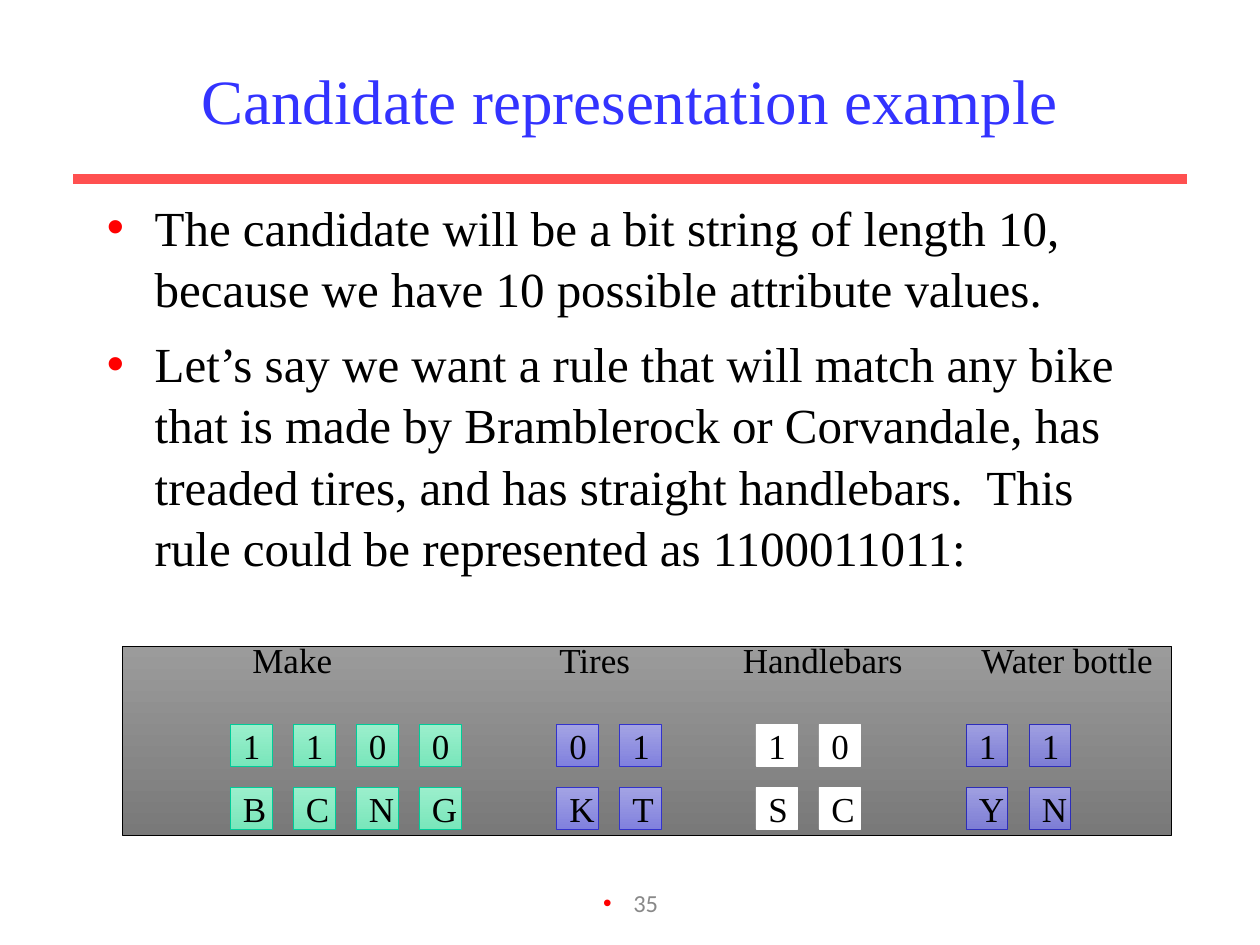
from lxml import etree
from pptx import Presentation
from pptx.dml.color import RGBColor
from pptx.enum import shapes, text
from pptx.oxml import ns
from pptx.util import Inches, Pt

COLORS = {
    "title": "3333FF", "rule": "FF5050", "bullet": "FF0000",
    "text": "000000", "number": "898989",
}
FILLS = {
    "panel": ("9B9B9B", "797979", "000000"),
    "green": ("9BEFCC", "79E6BB", "00CC99"),
    "blue": ("A3A3E4", "8181DE", "3333CC"),
    "white": ("FFFFFF", "FFFFFF", "FFFFFF"),
    "navy": ("9F9FE1", "7E7ED5", "2D2DB9"),
}
GROUPS = [
    ("Make", 2.32, 1.83, "1100", "BCNG", "green"),
    ("Tires", 4.72, 4.42, "01", "KT", "blue"),
    ("Handlebars", 6.53, 6, "10", "SC", "white"),
    ("Water bottle", 8.47, 7.67, "11", "YN", "navy"),
]
POINTS = [
    "The candidate will be a bit string of length 10, because we have 10 "
    "possible attribute values.",
    "Let’s say we want a rule that will match any bike that is made by "
    "Bramblerock or Corvandale, has treaded tires, and has straight "
    "handlebars.  This rule could be represented as 1100011011:",
]
ROMAN = "Times New Roman"
CENTER = text.PP_ALIGN.CENTER


def rgb(name):
    """Return the named colour."""
    return RGBColor.from_string(COLORS[name])


def style(para, size, color="text", face=ROMAN, align=CENTER):
    """Format a paragraph."""
    para.alignment = align
    para.font.size = Pt(size)
    para.font.name = face
    para.font.color.rgb = rgb(color)


def bullet(para, indent):
    """Give a paragraph a red hanging bullet."""
    props = para._p.get_or_add_pPr()
    props.set("marL", str(Inches(indent)))
    props.set("indent", str(-Inches(indent)))
    tint = etree.Element(ns.qn("a:buClr"))
    etree.SubElement(tint, ns.qn("a:srgbClr"), val=COLORS["bullet"])
    face = etree.Element(ns.qn("a:buFont"), typeface="Arial")
    char = etree.Element(ns.qn("a:buChar"), char="•")
    anchor = props.find(ns.qn("a:defRPr"))
    for item in (tint, face, char):
        anchor.addprevious(item)


def label(slide, words, left, top, width, height):
    """Add a wrapping text box and return its frame."""
    frame = slide.shapes.add_textbox(
        Inches(left), Inches(top), Inches(width), Inches(height)).text_frame
    frame.word_wrap = True
    frame.text = words
    return frame


def box(slide, left, top, width, height, kind, words=""):
    """Add a shaded rectangle with optional text."""
    shape = slide.shapes.add_shape(
        shapes.MSO_SHAPE.RECTANGLE,
        Inches(left), Inches(top), Inches(width), Inches(height))
    first, last, edge = map(RGBColor.from_string, FILLS[kind])
    shape.shadow.inherit = False
    if first == last:
        shape.fill.solid()
        shape.fill.fore_color.rgb = first
    else:
        shape.fill.gradient()
        shape.fill.gradient_angle = 270
        for stop, color in zip(shape.fill.gradient_stops, (first, last)):
            stop.color.rgb = color
    shape.line.color.rgb = edge
    shape.line.width = Pt(0.5)
    if words:
        frame = shape.text_frame
        frame.text = words
        frame.word_wrap = True
        frame.vertical_anchor = text.MSO_ANCHOR.MIDDLE
        style(frame.paragraphs[0], 20)


def heading(slide, words):
    """Set the title and the rule below it."""
    title = slide.shapes.title
    title.left, title.top = Inches(0.75), Inches(0.25)
    title.width, title.height = Inches(8.5), Inches(1.08)
    title.text_frame.text = words
    title.text_frame.vertical_anchor = text.MSO_ANCHOR.MIDDLE
    style(title.text_frame.paragraphs[0], 36, "title")
    rule = slide.shapes.add_connector(
        shapes.MSO_CONNECTOR.STRAIGHT,
        Inches(0.58), Inches(1.42), Inches(9.42), Inches(1.42))
    rule.line.color.rgb = rgb("rule")
    rule.line.width = Pt(6)
    etree.SubElement(rule._element.spPr, ns.qn("a:effectLst"))


def body(slide):
    """Add the bulleted points."""
    frame = label(slide, "\n".join(POINTS), 0.75, 1.5, 8.5, 3.5)
    for para, space in zip(frame.paragraphs, (7, 8)):
        style(para, 28, align=text.PP_ALIGN.LEFT)
        para.space_before = Pt(space)
        para.line_spacing = 1.04
        bullet(para, 0.38)


def group(slide, name, mid, left, bits, keys, kind):
    """Add one attribute with its bits and value letters."""
    frame = label(slide, name, mid - 0.9, 5.02, 1.8, 0.42)
    style(frame.paragraphs[0], 20)
    for row, chars in enumerate((bits, keys)):
        for col, char in enumerate(chars):
            box(slide, left + col * 0.5, 5.75 + row * 0.5,
                0.33, 0.33, kind, char)


def main():
    """Build the slide."""
    deck = Presentation()
    deck.slide_width, deck.slide_height = Inches(10), Inches(7.5)
    slide = deck.slides.add_slide(deck.slide_layouts[5])
    heading(slide, "Candidate representation example")
    body(slide)
    box(slide, 0.97, 5.13, 8.33, 1.5, "panel")
    for item in GROUPS:
        group(slide, *item)
    para = label(slide, "35", 3.42, 7, 3.17, 0.5).paragraphs[0]
    style(para, 14, "number", "Calibri")
    bullet(para, 0.24)
    deck.save("out.pptx")


main()
